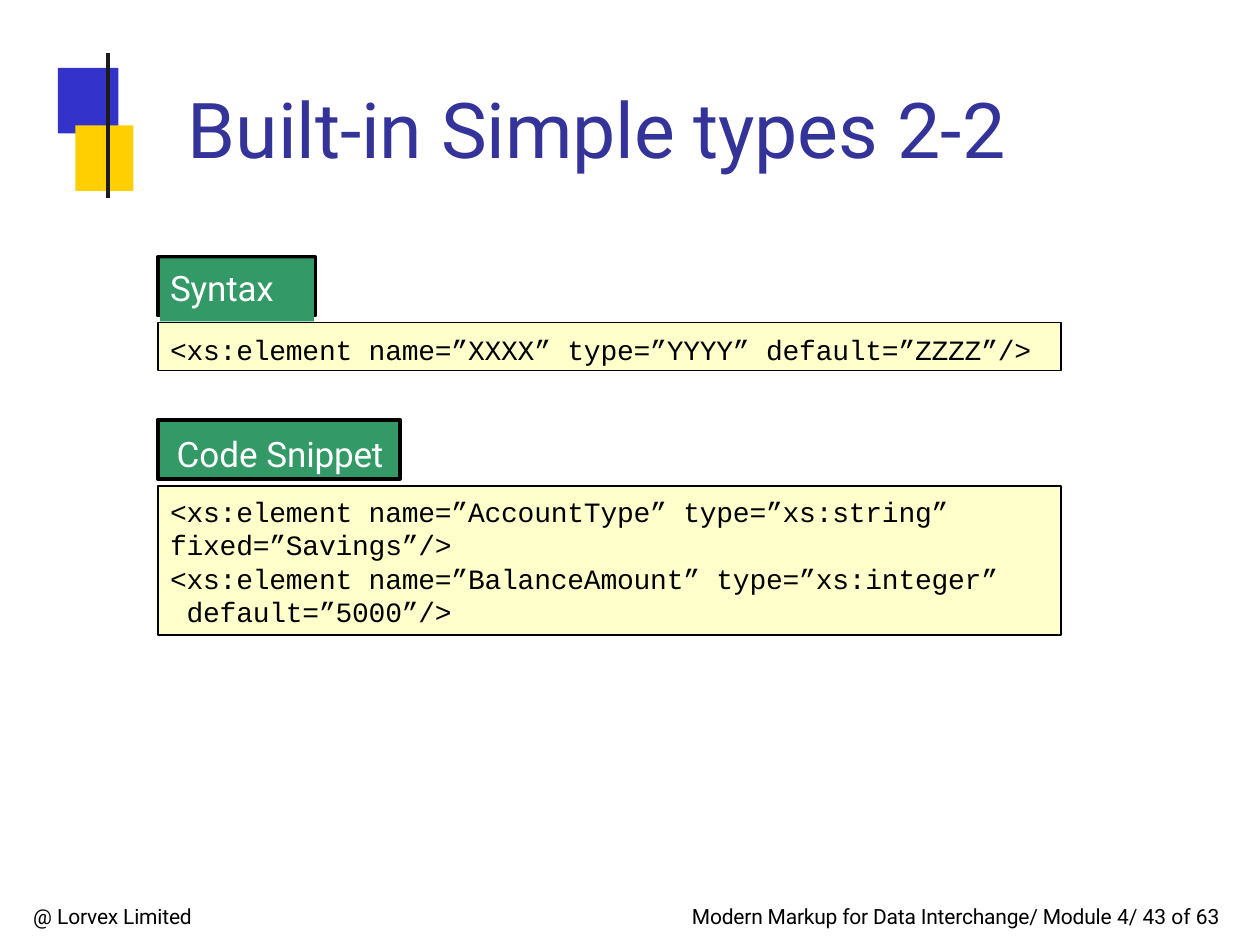
from dataclasses import dataclass
from typing import Optional

import lxml.etree
import pptx
import pptx.dml.color
import pptx.enum.shapes
import pptx.enum.text
import pptx.oxml.ns
import pptx.util

Cm = pptx.util.Cm
Pt = pptx.util.Pt


@dataclass(frozen=True)
class Theme:
    blue: str = "3333CC"
    yellow: str = "FFCF01"
    charcoal: str = "1C1C1C"
    title_colour: str = "333399"
    green: str = "339966"
    cream: str = "FFFFCC"
    black: str = "000000"
    white: str = "FFFFFF"
    body_font: str = "Roboto"
    code_font: str = "Courier New"
    title_size: float = 44
    label_size: float = 20
    code_size: float = 16
    footer_size: float = 12
    thick: float = 2.28
    thin: float = 0.96


@dataclass(frozen=True)
class Style:
    font: str
    size: float
    colour: str


@dataclass(frozen=True)
class Box:
    """Position and size in centimetres."""
    left: float
    top: float
    width: float
    height: float


@dataclass(frozen=True)
class Run:
    text: str
    spacing: int = 0  # hundredths of a point


@dataclass(frozen=True)
class Block:
    box: Box
    style: Style
    paragraphs: list[list[Run]]
    inset_left: float
    inset_top: float
    fill: Optional[str] = None
    line_width: float = 0


THEME = Theme()
TITLE = Style(THEME.body_font, THEME.title_size, THEME.title_colour)
LABEL = Style(THEME.body_font, THEME.label_size, THEME.white)
CODE = Style(THEME.code_font, THEME.code_size, THEME.black)
FOOTER = Style(THEME.body_font, THEME.footer_size, THEME.black)
TIGHT = -10
PANEL_LEFT, PANEL_WIDTH = 3.18, 18.21
FOOTER_TOP, FOOTER_HEIGHT = 18.16, 0.58

BLOCKS = [
    # Title
    Block(Box(3.76, 1.57, 16.79, 1.93), TITLE,
          [[Run("Built-in Simple types ", TIGHT), Run("2-2")]], 0.03, 0.07),
    # Syntax label and code
    Block(Box(3.23, 5.21, 3.1, 1.27), LABEL,
          [[Run("Syntax", TIGHT)]], 0.2, 0.16, THEME.green),
    Block(Box(PANEL_LEFT, 6.5, PANEL_WIDTH, 0.97), CODE,
          [[Run("<xs:element name=”XXXX” type=”YYYY” default=”ZZZZ”/>", TIGHT)]],
          0.25, 0.2, THEME.cream, THEME.thin),
    # Snippet label and code
    Block(Box(PANEL_LEFT, 8.46, 4.88, 1.19), LABEL,
          [[Run("Code "), Run("Snippet", TIGHT)]],
          0.38, 0.25, THEME.green, THEME.thick),
    Block(Box(PANEL_LEFT, 9.8, PANEL_WIDTH, 3), CODE,
          [[Run("<xs:element name=”AccountType” type=”xs:string”", TIGHT)],
           [Run("fixed=”Savings”/>", TIGHT)],
           [Run("<xs:element name=”BalanceAmount” type=”xs:integer”", TIGHT)],
           [Run(" default=”5000”/>", TIGHT)]],
          0.25, 0.16, THEME.cream, THEME.thin),
    # Footer
    Block(Box(0.64, FOOTER_TOP, 3.35, FOOTER_HEIGHT), FOOTER,
          [[Run("@ "), Run("Lorvex Limited", TIGHT)]], 0.03, 0.06),
    Block(Box(13.92, FOOTER_TOP, 10.9, FOOTER_HEIGHT), FOOTER,
          [[Run("Modern Markup for Data Interchange/ Module ", TIGHT),
            Run("4/ 43 of 63")]], 0.03, 0.06),
]


def rgb(colour: str) -> pptx.dml.color.RGBColor:
    return pptx.dml.color.RGBColor.from_string(colour)


def add_rectangle(slide, box: Box, fill: Optional[str] = None, line_width: float = 0):
    shape = slide.shapes.add_shape(
        pptx.enum.shapes.MSO_SHAPE.RECTANGLE,
        Cm(box.left), Cm(box.top), Cm(box.width), Cm(box.height))
    shape.shadow.inherit = False
    if fill:
        shape.fill.solid()
        shape.fill.fore_color.rgb = rgb(fill)
    else:
        shape.fill.background()
    if line_width:
        shape.line.color.rgb = rgb(THEME.black)
        shape.line.width = Pt(line_width)
    else:
        shape.line.fill.background()
    return shape


def add_block(slide, block: Block) -> None:
    box = block.box
    if block.fill:
        shape = add_rectangle(slide, box, block.fill, block.line_width)
    else:
        shape = slide.shapes.add_textbox(
            Cm(box.left), Cm(box.top), Cm(box.width), Cm(box.height))
    frame = shape.text_frame
    frame.word_wrap = True
    frame.vertical_anchor = pptx.enum.text.MSO_ANCHOR.TOP
    frame.margin_left, frame.margin_top = Cm(block.inset_left), Cm(block.inset_top)
    frame.margin_right = frame.margin_bottom = 0
    for index, runs in enumerate(block.paragraphs):
        paragraph = frame.add_paragraph() if index else frame.paragraphs[0]
        paragraph.alignment = pptx.enum.text.PP_ALIGN.LEFT
        for item in runs:
            run = paragraph.add_run()
            run.text = item.text
            run.font.name = block.style.font
            run.font.size = Pt(block.style.size)
            run.font.color.rgb = rgb(block.style.colour)
            run._r.get_or_add_rPr().set("spc", str(item.spacing))


def add_vertical_line(slide, left: float, top: float, bottom: float) -> None:
    connector = slide.shapes.add_connector(
        pptx.enum.shapes.MSO_CONNECTOR.STRAIGHT,
        Cm(left), Cm(top), Cm(left), Cm(bottom))
    connector.line.color.rgb = rgb(THEME.charcoal)
    connector.line.width = Pt(2.52)
    lxml.etree.SubElement(connector._element.spPr, pptx.oxml.ns.qn("a:effectLst"))


def main() -> None:
    presentation = pptx.Presentation()
    presentation.slide_width, presentation.slide_height = Cm(25.4), Cm(19.05)
    slide = presentation.slides.add_slide(presentation.slide_layouts[6])

    # Corner decoration
    add_rectangle(slide, Box(1.17, 1.37, 1.22, 1.32), THEME.blue)
    add_rectangle(slide, Box(1.52, 2.53, 1.17, 1.32), THEME.yellow)
    add_vertical_line(slide, 2.18, 1.07, 3.99)

    # Frame behind the syntax label
    add_rectangle(slide, Box(PANEL_LEFT, 5.18, 3.18, 1.18), line_width=THEME.thick)

    for block in BLOCKS:
        add_block(slide, block)
    presentation.save("out.pptx")


if __name__ == "__main__":
    main()
